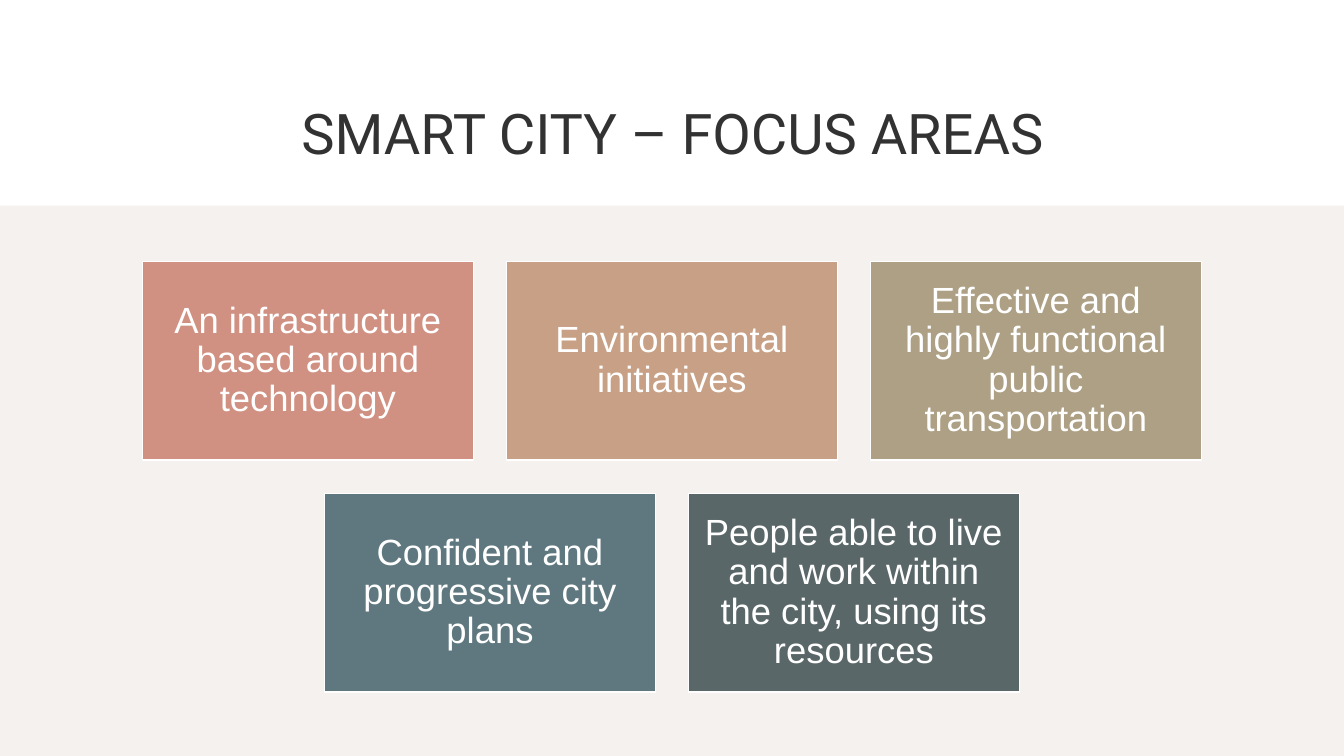
from pptx import Presentation
from pptx.dml.color import RGBColor
from pptx.enum.shapes import MSO_SHAPE
from pptx.enum.text import MSO_ANCHOR, PP_ALIGN
from pptx.util import Inches, Pt

RECT = MSO_SHAPE.RECTANGLE
MIDDLE = MSO_ANCHOR.MIDDLE
CENTER = PP_ALIGN.CENTER

WHITE = RGBColor(0xFF, 0xFF, 0xFF)
INK = RGBColor(0x32, 0x32, 0x32)
SAND = RGBColor(0xF4, 0xF1, 0xEF)
ROSE = RGBColor(0xD0, 0x91, 0x82)
TAN = RGBColor(0xC7, 0xA0, 0x85)
OLIVE = RGBColor(0xAD, 0xA0, 0x85)
TEAL = RGBColor(0x5F, 0x78, 0x7F)
SLATE = RGBColor(0x5A, 0x67, 0x68)

WIDE, HIGH = 13.33, 7.5
BAND = 2.04  # height of the title band
CARD_W, CARD_H, GAP = 3.28, 1.97, 0.33

ROWS = [
    [("An infrastructure based around technology", ROSE),
     ("Environmental initiatives", TAN),
     ("Effective and highly functional public transportation", OLIVE)],
    [("Confident and progressive city plans", TEAL),
     ("People able to live and work within the city, using its resources", SLATE)],
]


def put_text(shape, text, font="Arial", size=26, color=WHITE, inset=0.11, line=0.9):
    frame = shape.text_frame
    frame.word_wrap = True
    frame.vertical_anchor = MIDDLE
    frame.margin_left = frame.margin_right = Inches(inset)
    frame.margin_top = frame.margin_bottom = Inches(inset)
    para = frame.paragraphs[0]
    para.alignment = CENTER
    para.line_spacing = line
    run = para.add_run()
    run.text = text
    run.font.name = font
    run.font.size = Pt(size)
    run.font.color.rgb = color


def add_rect(slide, box, fill, edge=None):
    shape = slide.shapes.add_shape(RECT, *map(Inches, box))
    shape.shadow.inherit = False
    shape.fill.solid()
    shape.fill.fore_color.rgb = fill
    if edge is None:
        shape.line.fill.background()
    else:
        shape.line.color.rgb = edge
        shape.line.width = Pt(1)
    return shape


def add_title(slide, box, text):
    title = slide.shapes.add_textbox(*map(Inches, box))
    put_text(title, text, font="Roboto", size=40, color=INK, line=1.0)


def add_cards(slide, box, rows):
    """Centre each row of cards in the box, and the rows as a block."""
    left, top, width, height = box
    block = len(rows) * (CARD_H + GAP) - GAP
    y = top + (height - block) / 2
    for row in rows:
        span = len(row) * (CARD_W + GAP) - GAP
        x = left + (width - span) / 2
        for text, fill in row:
            card = add_rect(slide, (x, y, CARD_W, CARD_H), fill, WHITE)
            put_text(card, text)
            x += CARD_W + GAP
        y += CARD_H + GAP


def main():
    deck = Presentation()
    deck.slide_width, deck.slide_height = Inches(WIDE), Inches(HIGH)
    slide = deck.slides.add_slide(deck.slide_layouts[6])

    # Title band
    add_title(slide, (1.56, 0.77, 10.22, 1.09), "SMART CITY – FOCUS AREAS")

    # Focus areas on the lower panel
    add_rect(slide, (0, BAND, WIDE, HIGH - BAND), SAND)
    add_cards(slide, (0, 2.6, WIDE, 4.26), ROWS)

    deck.save("out.pptx")


if __name__ == "__main__":
    main()
